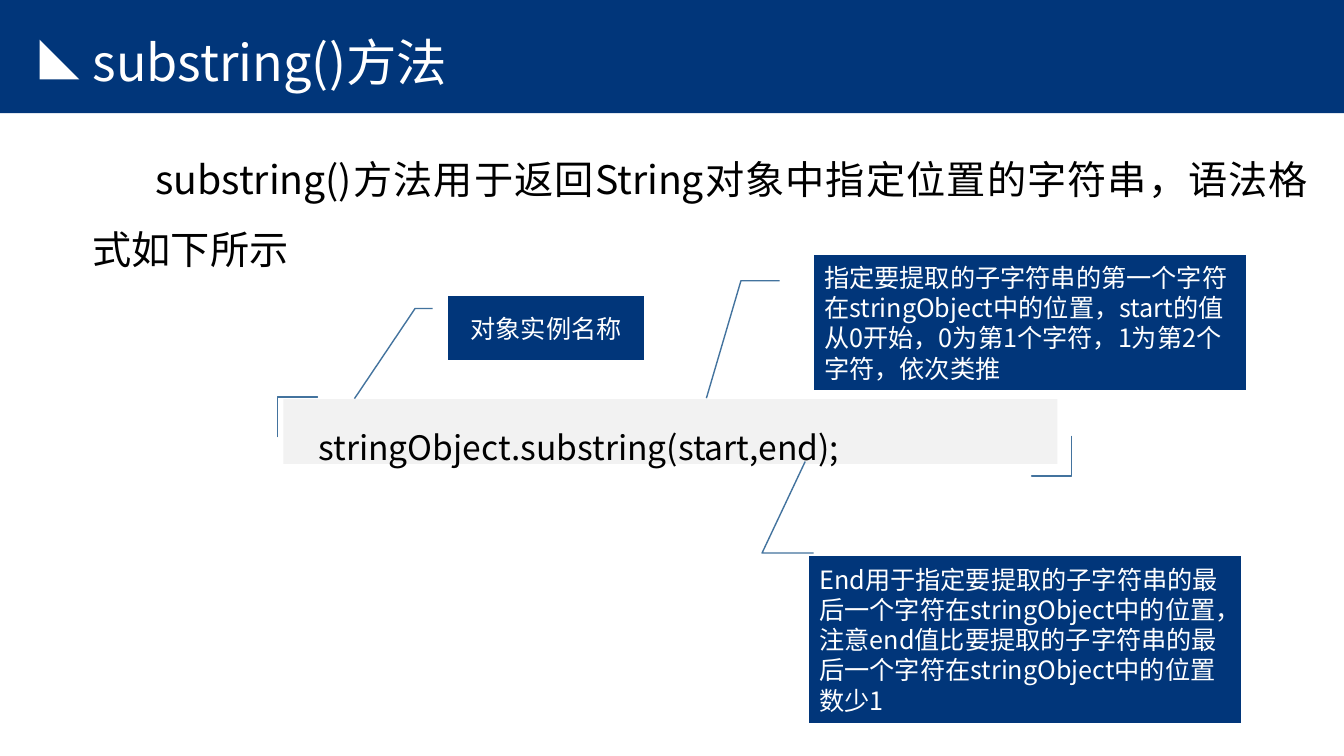
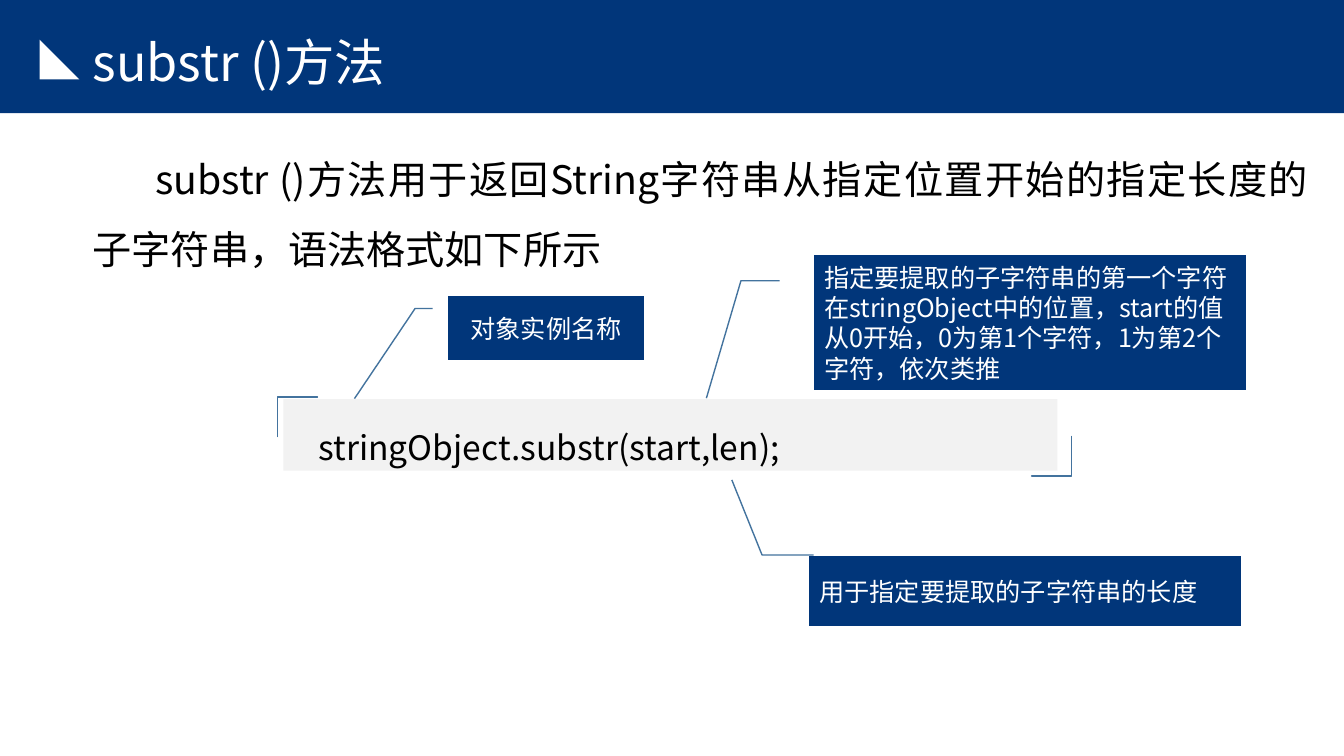
from dataclasses import dataclass
from math import copysign
from typing import Any, NamedTuple

from lxml.etree import SubElement
from pptx import Presentation
from pptx.dml.color import RGBColor
from pptx.enum.shapes import MSO_SHAPE as Preset
from pptx.enum.text import MSO_ANCHOR as Anchor
from pptx.enum.text import MSO_AUTO_SIZE as AutoSize
from pptx.enum.text import PP_ALIGN as Align
from pptx.oxml.ns import qn
from pptx.shapes.autoshape import Shape
from pptx.slide import Slide, SlideLayout
from pptx.util import Cm, Pt


class TextStyle(NamedTuple):
    size: float
    line_pitch: float
    color: RGBColor
    align: Align = Align.LEFT
    anchor: Anchor = Anchor.MIDDLE
    indent: float = 0


@dataclass(frozen=True)
class Theme:
    font = "Noto Sans CJK SC"
    navy = RGBColor(0x01, 0x36, 0x7A)
    outline = RGBColor(0x43, 0x73, 0x9E)
    white = RGBColor(0xFF, 0xFF, 0xFF)
    black = RGBColor(0, 0, 0)
    code_gray = RGBColor(0xF2, 0xF2, 0xF2)
    title = TextStyle(36, 45, white)
    body = TextStyle(28, 50, black, Align.JUSTIFY, Anchor.TOP, 1.58)
    code = TextStyle(24, 45, black, anchor=Anchor.TOP, indent=0.64)
    note = TextStyle(18, 21.6, white)
    label = TextStyle(18, 21.6, white, Align.CENTER)


THEME = Theme()


class Box(NamedTuple):
    """Left, top, width and height in centimetres."""

    left: float
    top: float
    width: float
    height: float


class Callout(NamedTuple):
    box: Box
    leader: tuple[float, ...]
    text: str
    style: TextStyle = THEME.note


class Corner(NamedTuple):
    """Outer corner point and the signed lengths of its two arms."""

    x: float
    y: float
    across: float
    down: float


@dataclass(frozen=True)
class MethodSlide:
    title: str
    body: str
    code: str
    code_height: float
    end_callout: Callout


Points = list[tuple[float, float]]

SLIDE_WIDTH, SLIDE_HEIGHT = 33.87, 19.05
BAND = Box(0, 0, SLIDE_WIDTH, 2.85)
TITLE_BOX = Box(2.08, 0.69, 20.52, 1.65)
BODY_BOX = Box(2.08, 3.2, 31.14, 13.06)
DOUBLE_ARROW = [(1.1, 1.17), (1.42, 1.35), (1.42, 1.17), (2.08, 1.53),
                (1.42, 1.9), (1.42, 1.73), (1.1, 1.9)]
CORNERS = [Corner(7.14, 9.86, 1.24, 0.99), Corner(26.9, 11.94, -1.07, -1.17)]
CORNER_THICKNESS = 0.17

COMMON_CALLOUTS = [
    Callout(Box(11.3, 7.47, 4.93, 1.6),
            (0.19, -0.08, 0.19, -0.17, 1.61, -0.48),
            "对象实例名称", THEME.label),
    Callout(Box(20.52, 6.43, 10.87, 3.4),
            (0.19, -0.08, 0.19, -0.17, 1.06, -0.25),
            "指定要提取的子字符串的第一个字符在stringObject中的位置，"
            "start的值从0开始，0为第1个字符，1为第2个字符，依次类推"),
]

METHODS = [
    MethodSlide(
        "substring()方法",
        "substring()方法用于返回String对象中指定位置的字符串，语法格式如下所示",
        "stringObject.substring(start,end);", 1.63,
        Callout(Box(20.4, 14.02, 10.87, 4.19),
                (-0.02, 0.01, -0.02, -0.11, -0.57, -0.01),
                "End用于指定要提取的子字符串的最后一个字符在stringObject中的位置，"
                "注意end值比要提取的子字符串的最后一个字符在stringObject中的位置数少1")),
    MethodSlide(
        "substr ()方法",
        "substr ()方法用于返回String字符串从指定位置开始的指定长度的子字符串，"
        "语法格式如下所示",
        "stringObject.substr(start,len);", 1.8,
        Callout(Box(20.4, 14.02, 10.87, 1.75),
                (-0.02, 0.01, -0.02, -0.11, -1.1, -0.18),
                "用于指定要提取的子字符串的长度")),
]


def set_attributes(target: Any, values: dict[str, Any]) -> None:
    for name, value in values.items():
        setattr(target, name, value)


def place(shape: Any, box: Box) -> None:
    set_attributes(shape, {name: Cm(value)
                           for name, value in box._asdict().items()})


def write(shape: Any, text: str, style: TextStyle) -> None:
    """Fill a shape or placeholder with one unbulleted, styled paragraph."""
    frame = shape.text_frame
    set_attributes(frame, {"word_wrap": True, "auto_size": AutoSize.NONE,
                           "vertical_anchor": style.anchor})
    paragraph = frame.paragraphs[0]
    set_attributes(paragraph, {"alignment": style.align,
                               "line_spacing": Pt(style.line_pitch),
                               "space_before": Pt(0)})
    run = paragraph.add_run()
    run.text = text
    set_attributes(run.font, {"name": THEME.font, "size": Pt(style.size),
                              "bold": False})
    run.font.color.rgb = style.color
    for properties in shape.element.iter(qn("a:rPr")):
        SubElement(properties, qn("a:ea"), typeface=THEME.font)
    for properties in shape.element.iter(qn("a:pPr")):
        properties.set("marL", "0")
        properties.set("indent", str(Cm(style.indent)))
        SubElement(properties, qn("a:buNone"))


def paint(shape: Shape, fill: RGBColor, line: RGBColor | None = None) -> None:
    shape.shadow.inherit = False
    shape.fill.solid()
    shape.fill.fore_color.rgb = fill
    if line is None:
        shape.line.fill.background()
    else:
        shape.line.color.rgb = line
        shape.line.width = Pt(1)


def add_preset(slide: Slide, preset: Preset, box: Box, fill: RGBColor,
               line: RGBColor | None = None) -> Shape:
    shape = slide.shapes.add_shape(preset, *map(Cm, box))
    paint(shape, fill, line)
    return shape


def add_outline(slide: Slide, points: Points, fill: RGBColor,
                line: RGBColor | None = None) -> Shape:
    """Draw a closed polygon through points given in centimetres."""
    builder = slide.shapes.build_freeform(*points[0], scale=Cm(1))
    builder.add_line_segments(points[1:], close=True)
    shape = builder.convert_to_shape()
    paint(shape, fill, line)
    return shape


def add_corner(slide: Slide, corner: Corner) -> None:
    x, y, across, down = corner
    inner_x = x + copysign(CORNER_THICKNESS, across)
    inner_y = y + copysign(CORNER_THICKNESS, down)
    points = [(x, y), (x + across, y), (x + across, inner_y),
              (inner_x, inner_y), (inner_x, y + down), (x, y + down)]
    add_outline(slide, points, THEME.navy, THEME.outline)


def add_callout(slide: Slide, callout: Callout) -> None:
    shape = add_preset(slide, Preset.LINE_CALLOUT_2_NO_BORDER, callout.box,
                       THEME.navy, THEME.outline)
    for index, value in enumerate(callout.leader):
        shape.adjustments[index] = value
    write(shape, callout.text, callout.style)


def decorate_layout(layout: SlideLayout, slide: Slide) -> None:
    """Draw the shared band and arrow on a slide, then move them to its layout."""
    band = add_preset(slide, Preset.RECTANGLE, BAND, THEME.navy)
    arrow = add_outline(slide, DOUBLE_ARROW, THEME.white)
    for position, shape in enumerate((band, arrow), start=2):
        layout.shapes.element.insert(position, shape.element)


def fill_slide(slide: Slide, method: MethodSlide) -> None:
    write(slide.shapes.title, method.title, THEME.title)
    write(slide.placeholders[1], method.body, THEME.body)
    code = add_preset(slide, Preset.RECTANGLE,
                      Box(7.14, 10.06, 19.51, method.code_height),
                      THEME.code_gray)
    write(code, method.code, THEME.code)
    for corner in CORNERS:
        add_corner(slide, corner)
    for callout in (*COMMON_CALLOUTS, method.end_callout):
        add_callout(slide, callout)


def main() -> None:
    presentation = Presentation()
    set_attributes(presentation, {"slide_width": Cm(SLIDE_WIDTH),
                                  "slide_height": Cm(SLIDE_HEIGHT)})
    layout = presentation.slide_layouts[1]
    for placeholder, box in zip(layout.placeholders, (TITLE_BOX, BODY_BOX)):
        place(placeholder, box)
    slides = [presentation.slides.add_slide(layout) for _ in METHODS]
    decorate_layout(layout, slides[0])
    for slide, method in zip(slides, METHODS):
        fill_slide(slide, method)
    presentation.save("out.pptx")


if __name__ == "__main__":
    main()
